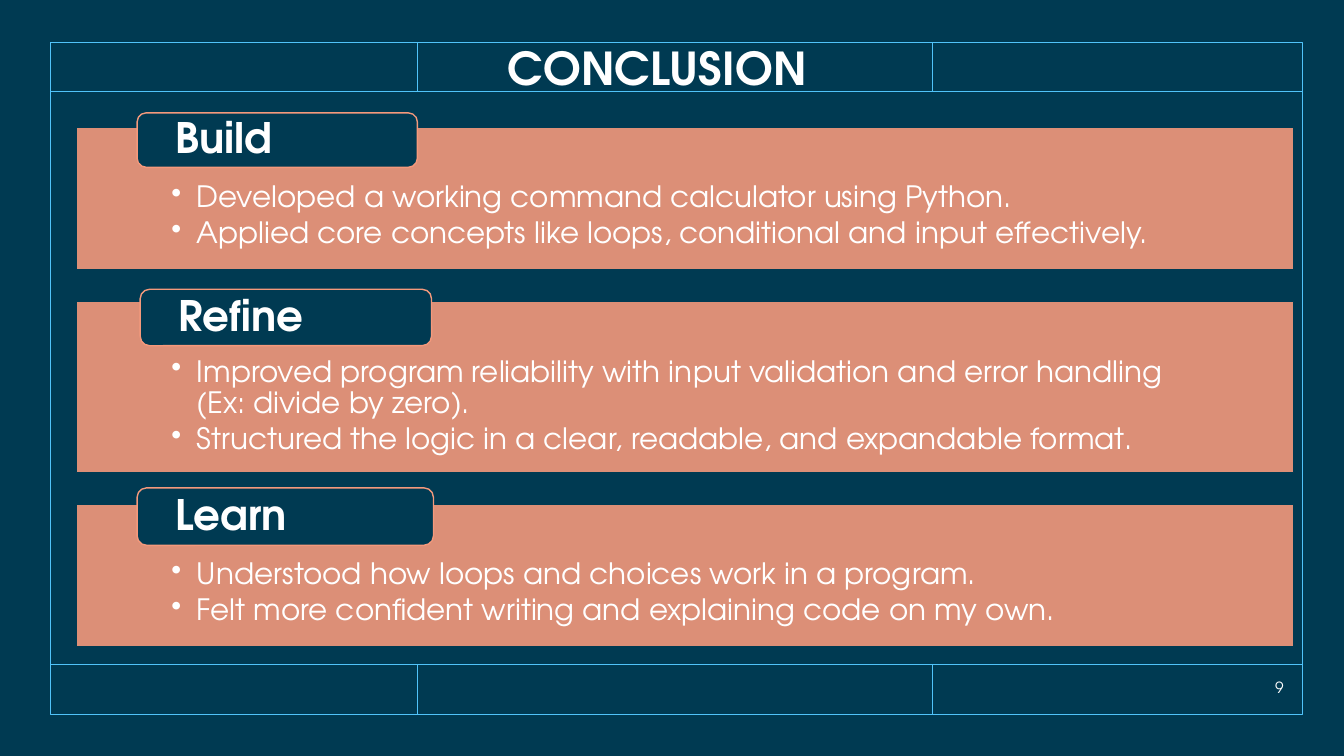
import dataclasses

import lxml.etree
import pptx
import pptx.dml.color
import pptx.enum.shapes
import pptx.enum.text
import pptx.oxml.ns
import pptx.util

Inches = pptx.util.Inches
Pt = pptx.util.Pt
qn = pptx.oxml.ns.qn
Shape = pptx.enum.shapes.MSO_SHAPE
Align = pptx.enum.text.PP_ALIGN
Anchor = pptx.enum.text.MSO_ANCHOR


@dataclasses.dataclass(frozen=True)
class Theme:
    face: str = "TeX Gyre Adventor"
    navy: str = "003A52"
    sky: str = "51C3F9"
    coral: str = "F4997C"
    white: str = "FFFFFF"
    title: float = 32.4
    label: float = 30
    body: float = 21
    small: float = 11


THEME = Theme()

LEFT, RIGHT = 0.5, 12.92
TOP, BASE = 0.42, 7.09
HEAD, FOOT = 0.91, 6.59
SPLITS = (4.14, 9.25)

CARDS = (
    (1.26, 1.42, (1.36, 1.12, 2.78, 0.54), "Build", (
        "Developed a working command calculator using Python.",
        "Applied core concepts like loops, conditional and input effectively.",
    )),
    (2.99, 1.7, (1.39, 2.87, 2.89, 0.56), "Refine", (
        "Improved program reliability with input validation and error handling (Ex: divide by zero).",
        "Structured the logic in a clear, readable, and expandable format.",
    )),
    (5, 1.42, (1.36, 4.84, 2.94, 0.57), "Learn", (
        "Understood how loops and choices work in a program.",
        "Felt more confident writing and explaining code on my own.",
    )),
)


def rgb(code):
    return pptx.dml.color.RGBColor.from_string(code)


def add_box(slide, kind, spot, fill, line):
    box = slide.shapes.add_shape(kind, *map(Inches, spot))
    box.shadow.inherit = False
    if fill:
        box.fill.solid()
        box.fill.fore_color.rgb = rgb(fill)
    else:
        box.fill.background()
    box.line.color.rgb = rgb(line)
    box.line.width = Pt(1)
    return box


def add_rule(slide, x1, y1, x2, y2):
    kind = pptx.enum.shapes.MSO_CONNECTOR.STRAIGHT
    rule = slide.shapes.add_connector(kind, *map(Inches, (x1, y1, x2, y2)))
    rule.line.color.rgb = rgb(THEME.sky)
    rule.line.width = Pt(1)
    lxml.etree.SubElement(rule._element.spPr, qn("a:effectLst"))


def set_fade(box, share):
    color = box._element.spPr.find(qn("a:solidFill"))[0]
    lxml.etree.SubElement(color, qn("a:alpha"), val=str(share * 1000))


def set_frame(box, insets, anchor):
    frame = box.text_frame
    frame.word_wrap = True
    frame.vertical_anchor = anchor
    (frame.margin_left, frame.margin_top,
     frame.margin_right, frame.margin_bottom) = map(Inches, insets)
    return frame


def set_bullet(para):
    props = para._p.get_or_add_pPr()
    props.set("marL", str(Inches(0.25)))
    props.set("indent", str(-Inches(0.25)))
    lxml.etree.SubElement(props, qn("a:buChar"), char="•")


def set_text(para, text, size, align=Align.LEFT, bold=False, space=0.9):
    para.text = text
    para.alignment = align
    para.line_spacing = space
    font = para.font
    font.name = THEME.face
    font.size = Pt(size)
    font.bold = bold
    font.color.rgb = rgb(THEME.white)


def add_note(slide, spot, text, size, **style):
    note = slide.shapes.add_textbox(*map(Inches, spot))
    frame = set_frame(note, (0.1, 0.05, 0.1, 0.05), Anchor.MIDDLE)
    set_text(frame.paragraphs[0], text, size, **style)


def add_grid(slide):
    spot = (LEFT, TOP, RIGHT - LEFT, BASE - TOP)
    add_box(slide, Shape.RECTANGLE, spot, None, THEME.sky)
    for x in SPLITS:
        add_rule(slide, x, TOP, x, HEAD)
        add_rule(slide, x, FOOT, x, BASE)
    for y in (HEAD, FOOT):
        add_rule(slide, LEFT, y, RIGHT, y)


def add_card(slide, top, height, tab, name, points):
    panel = add_box(slide, Shape.RECTANGLE, (0.76, top, 12.07, height),
                    THEME.coral, THEME.navy)
    set_fade(panel, 90)
    frame = set_frame(panel, (0.94, 0.55, 0.94, 0.16), Anchor.TOP)
    for i, point in enumerate(points):
        para = frame.add_paragraph() if i else frame.paragraphs[0]
        set_bullet(para)
        set_text(para, point, THEME.body)
        para.space_after = Pt(3)
    label = add_box(slide, Shape.ROUNDED_RECTANGLE, tab, THEME.navy, THEME.coral)
    frame = set_frame(label, (0.35, 0, 0.35, 0), Anchor.MIDDLE)
    set_text(frame.paragraphs[0], name, THEME.label, bold=True)


def main():
    deck = pptx.Presentation()
    deck.slide_width = Inches(13.33)
    deck.slide_height = Inches(7.5)
    slide = deck.slides.add_slide(deck.slide_layouts[6])
    slide.background.fill.solid()
    slide.background.fill.fore_color.rgb = rgb(THEME.navy)
    add_grid(slide)
    add_note(slide, (4.77, 0.29, 3.5, 0.83), "CONCLUSION", THEME.title,
             align=Align.CENTER, bold=True)
    for card in CARDS:
        add_card(slide, *card)
    add_note(slide, (11.91, 6.67, 0.92, 0.3), "9", THEME.small,
             align=Align.RIGHT, space=1.0)
    deck.save("out.pptx")


if __name__ == "__main__":
    main()
